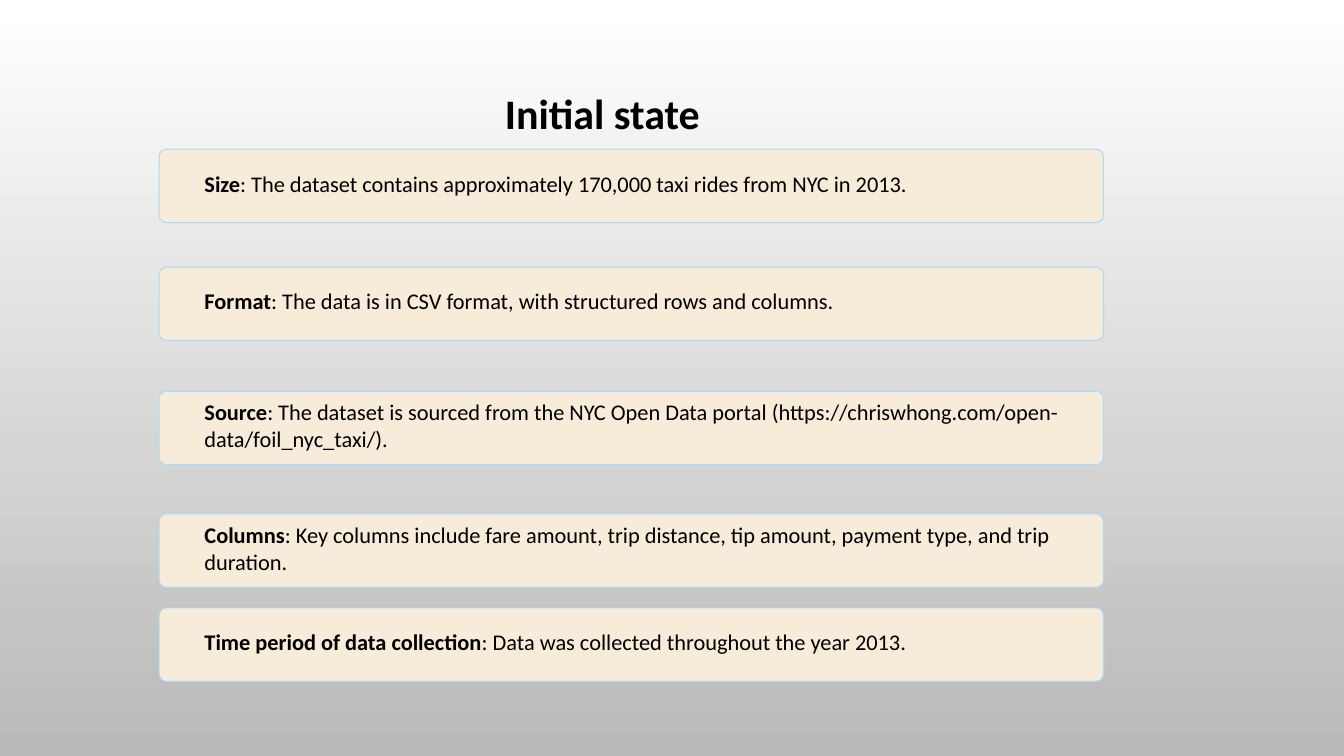
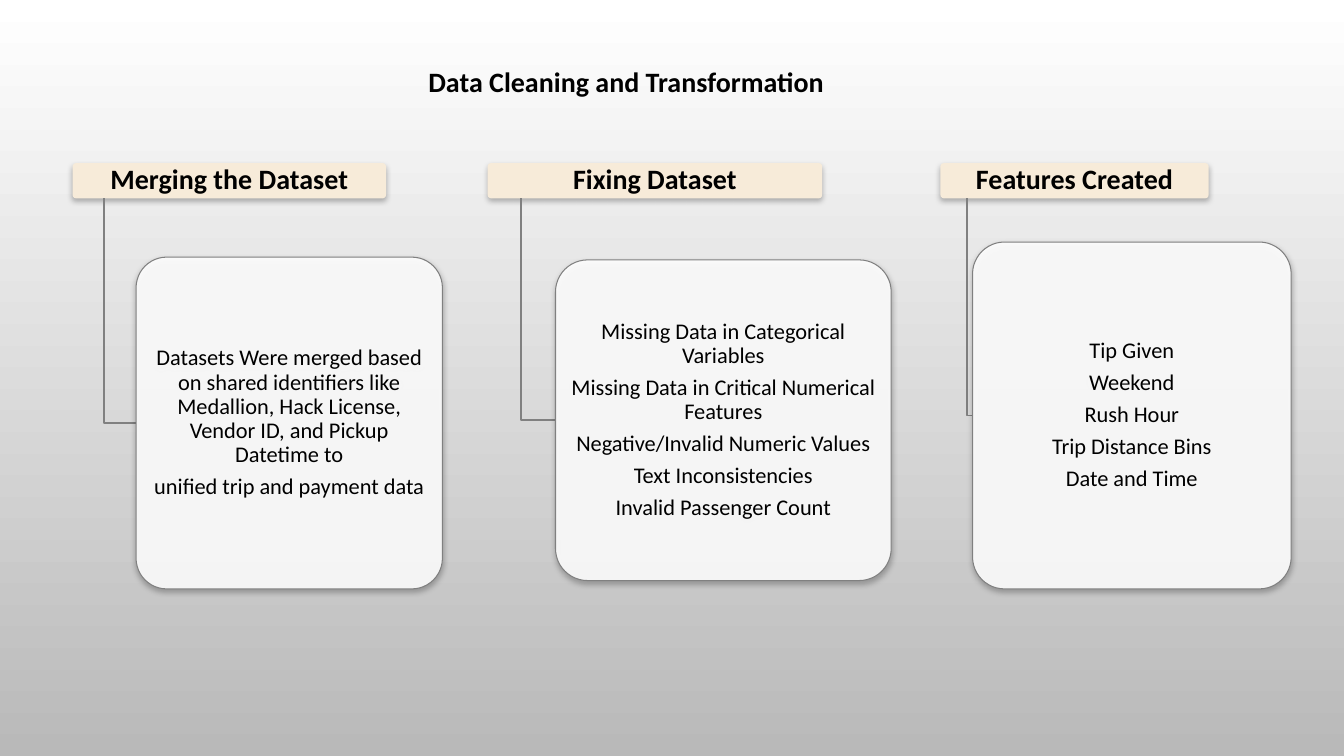
from lxml import etree
from pptx import Presentation
from pptx import util as u
from pptx.dml.color import RGBColor
from pptx.enum import shapes, text
from pptx.oxml import ns

COLOURS = {
    "top": "FFFFFF", "bottom": "B9B9B9", "ink": "000000", "sand": "F7EBD9",
    "sky": "ACDAF8", "white": "FFFFFF", "grey": "808080",
}
FONT = "Calibri"
TITLE_ONLY = 5

# Text frame settings, one set for each kind of element
TITLE_FRAME = {"word_wrap": True, "auto_size": text.MSO_AUTO_SIZE.NONE,
               "vertical_anchor": text.MSO_ANCHOR.TOP}
FACT_FRAME = {"word_wrap": True, "vertical_anchor": text.MSO_ANCHOR.MIDDLE,
              "margin_left": u.Cm(1.09), "margin_right": u.Cm(0.71),
              "margin_top": 0, "margin_bottom": u.Cm(0.14)}
PANEL_FRAME = {"word_wrap": True, "vertical_anchor": text.MSO_ANCHOR.MIDDLE,
               **{f"margin_{side}": u.Cm(0.08)
                  for side in ("left", "right", "top", "bottom")}}

# Paragraph settings
LEFT = {"alignment": text.PP_ALIGN.LEFT}
CENTRED = {"alignment": text.PP_ALIGN.CENTER, "line_spacing": 0.9}
LISTED = {**CENTRED, "space_after": u.Pt(5.6)}

# Slide 1: top of the card, label, statement
FACTS = [
    (3.76, "Size",
     ": The dataset contains approximately 170,000 taxi rides from NYC in 2013."),
    (6.73, "Format",
     ": The data is in CSV format, with structured rows and columns."),
    (9.86, "Source",
     ": The dataset is sourced from the NYC Open Data portal "
     "(https://chriswhong.com/open-data/foil_nyc_taxi/)."),
    (12.95, "Columns",
     ": Key columns include fare amount, trip distance, tip amount, "
     "payment type, and trip duration."),
    (15.32, "Time period of data collection",
     ": Data was collected throughout the year 2013."),
]

# Slide 2: heading, its left and width, card box, card lines
STEPS = [
    ("Merging the Dataset", 1.83, 7.9, (3.43, 6.48, 7.72, 8.36),
     ["Datasets Were merged based on shared identifiers like Medallion, "
      "Hack License, Vendor ID, and Pickup Datetime to",
      "unified trip and payment data"]),
    ("Fixing Dataset", 12.29, 8.43, (14, 6.55, 8.46, 8.08),
     ["Missing Data in Categorical Variables",
      "Missing Data in Critical Numerical Features",
      "Negative/Invalid Numeric Values",
      "Text Inconsistencies",
      "Invalid Passenger Count"]),
    ("Features Created", 23.7, 6.76, (24.51, 6.1, 8.03, 8.74),
     ["Tip Given", "Weekend", "Rush Hour", "Trip Distance Bins",
      "Date and Time"]),
]
HEADING_TOP, HEADING_HEIGHT = 4.11, 0.89


def rgb(name):
    return RGBColor.from_string(COLOURS[name])


def apply(target, settings):
    for name, value in settings.items():
        setattr(target, name, value)


class Deck:
    """Holds the shared style and the current slide."""

    def __init__(self):
        self.deck = Presentation()
        self.deck.slide_width, self.deck.slide_height = u.Cm(33.87), u.Cm(19.05)
        self.page = None
        # Background shared through the master
        fill = self.deck.slide_master.background.fill
        fill.gradient()
        fill.gradient_angle = 270
        for stop, name in zip(fill.gradient_stops, ("top", "bottom")):
            stop.color.rgb = rgb(name)

    def new_page(self, title, left, top, width, height, size):
        layout = self.deck.slide_layouts[TITLE_ONLY]
        self.page = self.deck.slides.add_slide(layout)
        box = self.page.shapes.title
        apply(box, {"left": u.Cm(left), "top": u.Cm(top),
                    "width": u.Cm(width), "height": u.Cm(height)})
        self.set_text(box, [[(title, True)]], size, TITLE_FRAME, LEFT)

    def set_text(self, box, lines, size, frame_settings, para_settings):
        """Each line is a list of (words, bold) spans."""
        frame = box.text_frame
        apply(frame, frame_settings)
        for index, line in enumerate(lines):
            para = frame.add_paragraph() if index else frame.paragraphs[0]
            apply(para, para_settings)
            for words, bold in line:
                span = para.add_run()
                span.text = words
                apply(span.font, {"name": FONT, "size": u.Pt(size), "bold": bold})
                span.font.color.rgb = rgb("ink")

    def panel(self, left, top, width, height, fill, line=None, shadow=False):
        box = self.page.shapes.add_shape(
            shapes.MSO_SHAPE.ROUNDED_RECTANGLE,
            u.Cm(left), u.Cm(top), u.Cm(width), u.Cm(height))
        box.adjustments[0] = 0.1
        box.fill.solid()
        box.fill.fore_color.rgb = rgb(fill)
        if line:
            box.line.color.rgb = rgb(line)
            box.line.width = u.Pt(0.75)
        else:
            box.line.fill.background()
        box.shadow.inherit = False
        if shadow:
            self.cast_shadow(box)
        return box

    def cast_shadow(self, box):
        effects = box.element.spPr.find(ns.qn("a:effectLst"))
        outer = etree.SubElement(
            effects, ns.qn("a:outerShdw"), blurRad=str(u.Pt(4)),
            dist=str(u.Pt(2)), dir="5400000", rotWithShape="0")
        colour = etree.SubElement(outer, ns.qn("a:srgbClr"), val=COLOURS["ink"])
        etree.SubElement(colour, ns.qn("a:alpha"), val="28000")

    def fade(self, box, percent):
        colour = box.element.spPr.find(ns.qn("a:solidFill"))[0]
        etree.SubElement(colour, ns.qn("a:alpha"), val=str(percent * 1000))

    def elbow(self, left, top, right, bottom):
        builder = self.page.shapes.build_freeform(u.Cm(left), u.Cm(top))
        builder.add_line_segments(
            [(u.Cm(left), u.Cm(bottom)), (u.Cm(right), u.Cm(bottom))], close=False)
        branch = builder.convert_to_shape()
        branch.fill.background()
        branch.line.color.rgb = rgb("grey")
        branch.line.width = u.Pt(1.25)
        branch.shadow.inherit = False

    def fact(self, top, label, statement):
        box = self.panel(4.01, top, 23.8, 1.85, "sand", "sky")
        self.set_text(box, [[(label, True), (statement, False)]], 16, FACT_FRAME, LEFT)

    def step(self, heading, left, width, card, lines):
        box = self.panel(left, HEADING_TOP, width, HEADING_HEIGHT, "sand", shadow=True)
        self.set_text(box, [[(heading, True)]], 20, PANEL_FRAME, CENTRED)
        # The branch drops a tenth along the heading and meets the card halfway
        card_left, card_top, _, card_height = card
        self.elbow(left + width / 10, HEADING_TOP + HEADING_HEIGHT,
                   card_left, card_top + card_height / 2)
        box = self.panel(*card, "white", "grey", shadow=True)
        self.fade(box, 90)
        self.set_text(box, [[(line, False)] for line in lines], 16, PANEL_FRAME, LISTED)


def main():
    show = Deck()

    # Slide 1: facts about the dataset
    show.new_page("Initial state", 12.47, 2.08, 7.7, 1.6, 30)
    for fact in FACTS:
        show.fact(*fact)

    # Slide 2: cleaning steps
    show.new_page("Data Cleaning and Transformation", 10.54, 1.5, 18.8, 1.12, 20)
    for step in STEPS:
        show.step(*step)

    show.deck.save("out.pptx")


if __name__ == "__main__":
    main()
